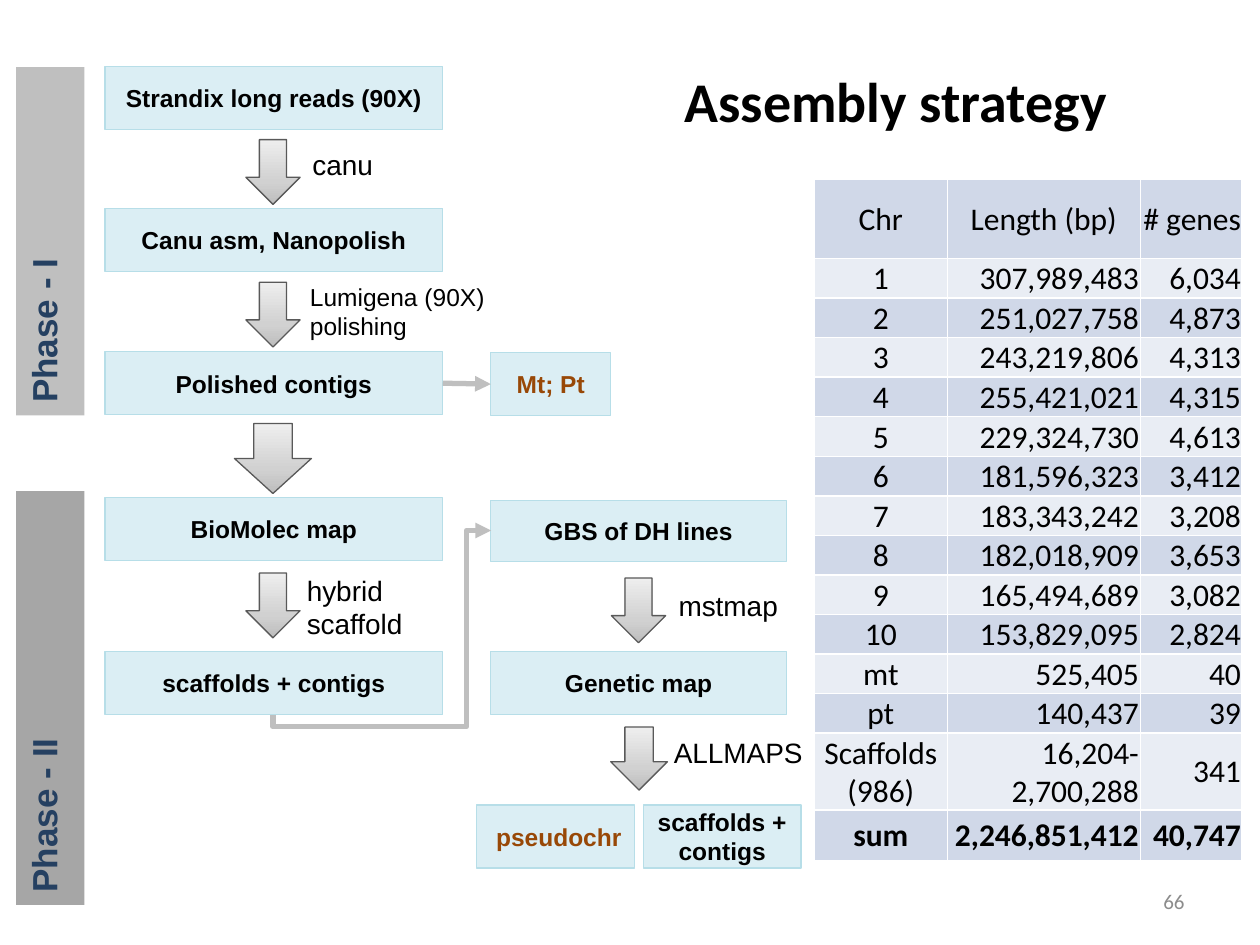
"""Build the genome assembly strategy slide."""
from copy import deepcopy
from dataclasses import dataclass

from lxml.etree import SubElement
from pptx import Presentation
from pptx.dml.color import RGBColor
from pptx.enum.shapes import MSO_CONNECTOR, MSO_SHAPE
from pptx.enum.text import MSO_ANCHOR, MSO_AUTO_SIZE, PP_ALIGN
from pptx.oxml.ns import qn
from pptx.util import Pt

HUES = {
    "black": "000000", "navy": "254061", "brown": "984807", "gray": "8C8C8C",
    "light": "BFBFBF", "dark": "A6A6A6", "box": "DBEEF4", "rim": "B7DEE8",
    "edge": "595959", "low": "BDBDBD", "mid": "D1D1D1", "high": "EEEEEE",
    "odd": "E9EDF4", "even": "D0D8E8",
}
LEFT, CENTER, RIGHT = PP_ALIGN.LEFT, PP_ALIGN.CENTER, PP_ALIGN.RIGHT


@dataclass
class Box:
    text: str
    x: float
    y: float
    w: float
    h: float = 36
    hue: str = "black"


@dataclass
class Arrow:
    x: float
    y: float
    w: float = 31
    h: float = 37


@dataclass
class Label:
    text: str
    x: float
    y: float
    w: float
    h: float
    size: float = 16
    hue: str = "black"
    font: str = "Arial"
    align: PP_ALIGN = LEFT
    wrap: bool = False
    anchor: MSO_ANCHOR = MSO_ANCHOR.TOP


@dataclass
class Phase:
    text: str
    y: float
    h: float
    hue: str


BOXES = [
    Box("Strandix long reads (90X)", 60, 38, 193),
    Box("Canu asm, Nanopolish", 60, 119, 193),
    Box("Polished contigs", 60, 201, 193),
    Box("BioMolec map", 60, 284.4, 193),
    Box("scaffolds + contigs", 60, 372.4, 193),
    Box("Mt; Pt", 280.5, 201.5, 68.5, hue="brown"),
    Box("GBS of DH lines", 280.5, 286, 169, 35),
    Box("Genetic map", 280.5, 372.4, 169),
    Box(" pseudochr", 272.4, 460, 90, hue="brown"),
    Box("scaffolds + contigs", 367.7, 460, 90),
]
ARROWS = [
    Arrow(140.5, 79.8), Arrow(140.5, 161.3), Arrow(134, 242, 44, 40),
    Arrow(140.5, 327.5), Arrow(349.4, 330.3), Arrow(349, 415.5, 32.4, 36),
]
LABELS = [
    Label("canu", 171.4, 80.6, 49.7, 26.6),
    Label("Lumigena (90X)\npolishing", 170, 160, 118, 36, 14,
          wrap=True, anchor=MSO_ANCHOR.MIDDLE),
    Label("hybrid\nscaffold", 168.2, 324, 70, 46),
    Label("mstmap", 380.7, 333, 72, 26.6, wrap=True),
    Label("ALLMAPS", 378, 417, 89, 26.6),
    Label("66", 516, 500.4, 168, 28.8, 12, "gray", "Calibri", RIGHT,
          True, MSO_ANCHOR.MIDDLE),
]
PHASES = [Phase("Phase - I", 38.3, 199, "light"),
          Phase("Phase - II", 280.6, 236.4, "dark")]
ROWS = [
    ("Chr", "Length (bp)", "# genes"),
    ("1", "307,989,483", "6,034"),
    ("2", "251,027,758", "4,873"),
    ("3", "243,219,806", "4,313"),
    ("4", "255,421,021", "4,315"),
    ("5", "229,324,730", "4,613"),
    ("6", "181,596,323", "3,412"),
    ("7", "183,343,242", "3,208"),
    ("8", "182,018,909", "3,653"),
    ("9", "165,494,689", "3,082"),
    ("10", "153,829,095", "2,824"),
    ("mt", "525,405", "40"),
    ("pt", "140,437", "39"),
    ("Scaffolds\n(986)", "16,204-2,700,288", "341"),
    ("sum", "2,246,851,412", "40,747"),
]
WIDTHS = [76.1, 110.2, 58.3]
HEIGHTS = [45.4] + [22.6] * 12 + [26.6, 28.8]


def tint(name: str) -> RGBColor:
    return RGBColor.from_string(HUES[name])


def write(frame, text: str, size: float, font: str = "Arial", hue: str = "black",
          bold: bool = False, align: PP_ALIGN = CENTER) -> None:
    for i, line in enumerate(text.split("\n")):
        para = frame.add_paragraph() if i else frame.paragraphs[0]
        para.alignment = align
        run = para.add_run()
        run.text = line
        run.font.size, run.font.name, run.font.bold = Pt(size), font, bold
        run.font.color.rgb = tint(hue)


def place(slide, kind: MSO_SHAPE, x: float, y: float, w: float, h: float):
    shape = slide.shapes.add_shape(kind, Pt(x), Pt(y), Pt(w), Pt(h))
    shape.shadow.inherit = False
    return shape


def draw_phase(slide, item: Phase) -> None:
    shape = place(slide, MSO_SHAPE.RECTANGLE, 9.2, item.y, 39, item.h)
    shape.rotation = 180
    shape.fill.solid()
    shape.fill.fore_color.rgb = tint(item.hue)
    shape.line.fill.background()
    frame = shape.text_frame
    frame.word_wrap = True
    frame.vertical_anchor = MSO_ANCHOR.TOP
    frame.auto_size = MSO_AUTO_SIZE.SHAPE_TO_FIT_TEXT
    shape.element.txBody.find(qn("a:bodyPr")).set("vert", "eaVert")
    write(frame, item.text, 20, hue="navy", bold=True)


def draw_box(slide, item: Box) -> None:
    shape = place(slide, MSO_SHAPE.RECTANGLE, item.x, item.y, item.w, item.h)
    shape.fill.solid()
    shape.fill.fore_color.rgb = tint("box")
    shape.line.color.rgb = tint("rim")
    shape.line.width = Pt(0.75)
    shape.text_frame.word_wrap = True
    write(shape.text_frame, item.text, 14, hue=item.hue, bold=True)


def draw_arrow(slide, item: Arrow) -> None:
    shape = place(slide, MSO_SHAPE.DOWN_ARROW, item.x, item.y, item.w, item.h)
    shape.fill.gradient()
    shape.fill.gradient_angle = 90
    stops = shape.element.spPr.find(".//" + qn("a:gsLst"))
    stops.insert(1, deepcopy(stops[0]))
    marks = [(0, "low"), (0.35, "mid"), (1, "high")]
    for stop, (spot, hue) in zip(shape.fill.gradient_stops, marks):
        stop.position = spot
        stop.color.rgb = tint(hue)
    shape.line.color.rgb = tint("edge")
    shape.line.width = Pt(0.75)


def draw_label(slide, item: Label) -> None:
    shape = slide.shapes.add_textbox(Pt(item.x), Pt(item.y), Pt(item.w), Pt(item.h))
    frame = shape.text_frame
    frame.word_wrap = item.wrap
    frame.vertical_anchor = item.anchor
    write(frame, item.text, item.size, item.font, item.hue, align=item.align)


def draw_link(slide, kind: MSO_CONNECTOR, *ends: float):
    link = slide.shapes.add_connector(kind, *map(Pt, ends))
    link.line.color.rgb = tint("light")
    link.line.width = Pt(3)
    props = link.element.spPr
    SubElement(props.find(qn("a:ln")), qn("a:tailEnd"), type="triangle")
    SubElement(props, qn("a:effectLst"))
    return link


def draw_bend(slide) -> None:
    props = draw_link(slide, MSO_CONNECTOR.ELBOW, 165.6, 293.5, 270.9, 418.2).element.spPr
    for key, value in (("rot", "5400000"), ("flipH", "1"), ("flipV", "1")):
        props.find(qn("a:xfrm")).set(key, value)
    shape = props.find(qn("a:prstGeom"))
    shape.set("prst", "bentConnector4")
    guides = shape.find(qn("a:avLst"))
    if guides is None:
        guides = SubElement(shape, qn("a:avLst"))
    for name, value in (("adj1", -6500), ("adj2", 88700)):
        SubElement(guides, qn("a:gd"), name=name, fmla=f"val {value}")


def draw_table(slide) -> None:
    table = slide.shapes.add_table(len(ROWS), len(WIDTHS), Pt(465.3), Pt(102.4),
                                   Pt(sum(WIDTHS)), Pt(sum(HEIGHTS))).table
    table.first_row = table.horz_banding = False
    for col, width in zip(table.columns, WIDTHS):
        col.width = Pt(width)
    for r, (row, height) in enumerate(zip(ROWS, HEIGHTS)):
        table.rows[r].height = Pt(height)
        for c, text in enumerate(row):
            cell = table.cell(r, c)
            cell.fill.solid()
            cell.fill.fore_color.rgb = tint("odd" if r % 2 else "even")
            cell.vertical_anchor = MSO_ANCHOR.MIDDLE
            cell.margin_left = cell.margin_top = cell.margin_right = Pt(0.75)
            cell.margin_bottom = 0
            mid = c == 0 or (r == 0 and c == 1)
            write(cell.text_frame, text, 18, "Calibri", bold=row[0] == "sum",
                  align=CENTER if mid else RIGHT)


def main() -> None:
    deck = Presentation()
    deck.slide_width, deck.slide_height = Pt(720), Pt(540)
    slide = deck.slides.add_slide(deck.slide_layouts[5])
    title = slide.shapes.title
    title.left, title.top, title.width, title.height = map(Pt, (332, 26.6, 360, 61.2))
    title.text_frame.vertical_anchor = MSO_ANCHOR.MIDDLE
    write(title.text_frame, "Assembly strategy", 32, "Calibri", bold=True)
    for draw, items in ((draw_phase, PHASES), (draw_box, BOXES),
                        (draw_arrow, ARROWS), (draw_label, LABELS)):
        for item in items:
            draw(slide, item)
    draw_bend(slide)
    draw_link(slide, MSO_CONNECTOR.STRAIGHT, 253, 219, 280.5, 219.5)
    draw_table(slide)
    deck.save("out.pptx")


if __name__ == "__main__":
    main()
